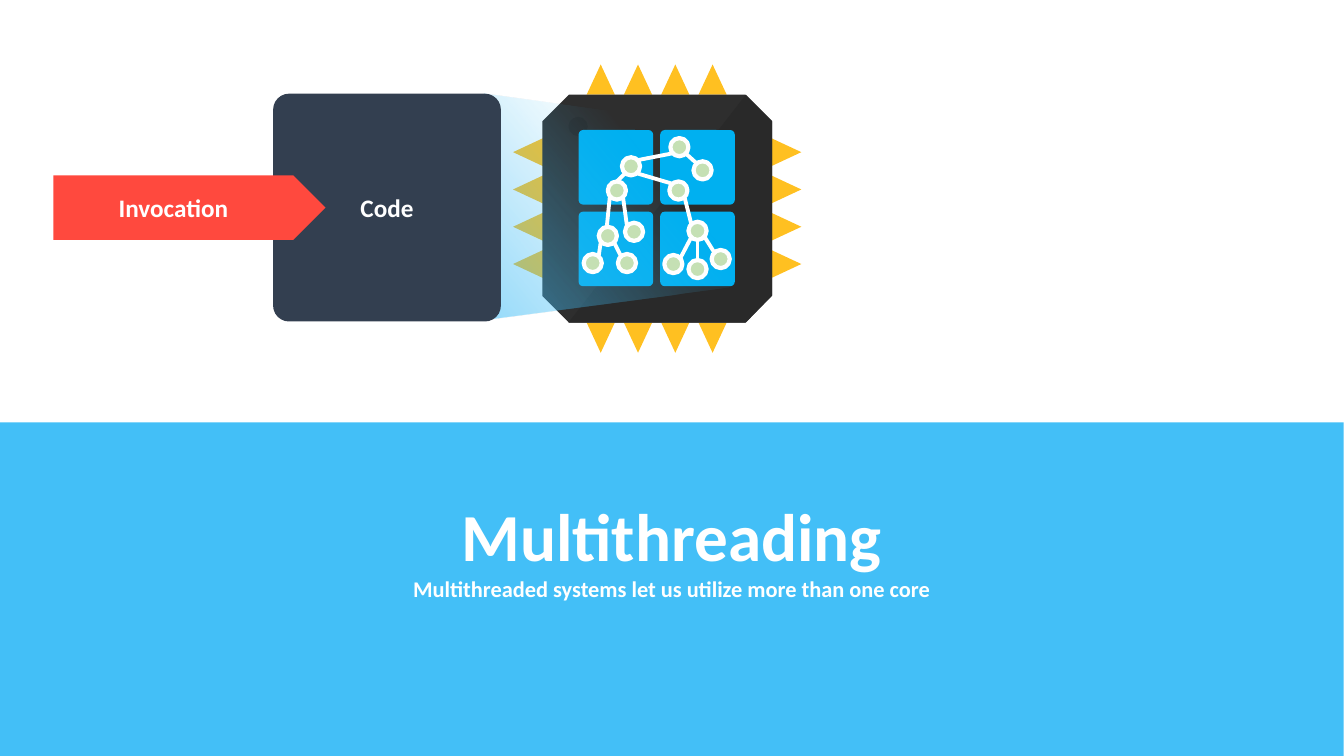
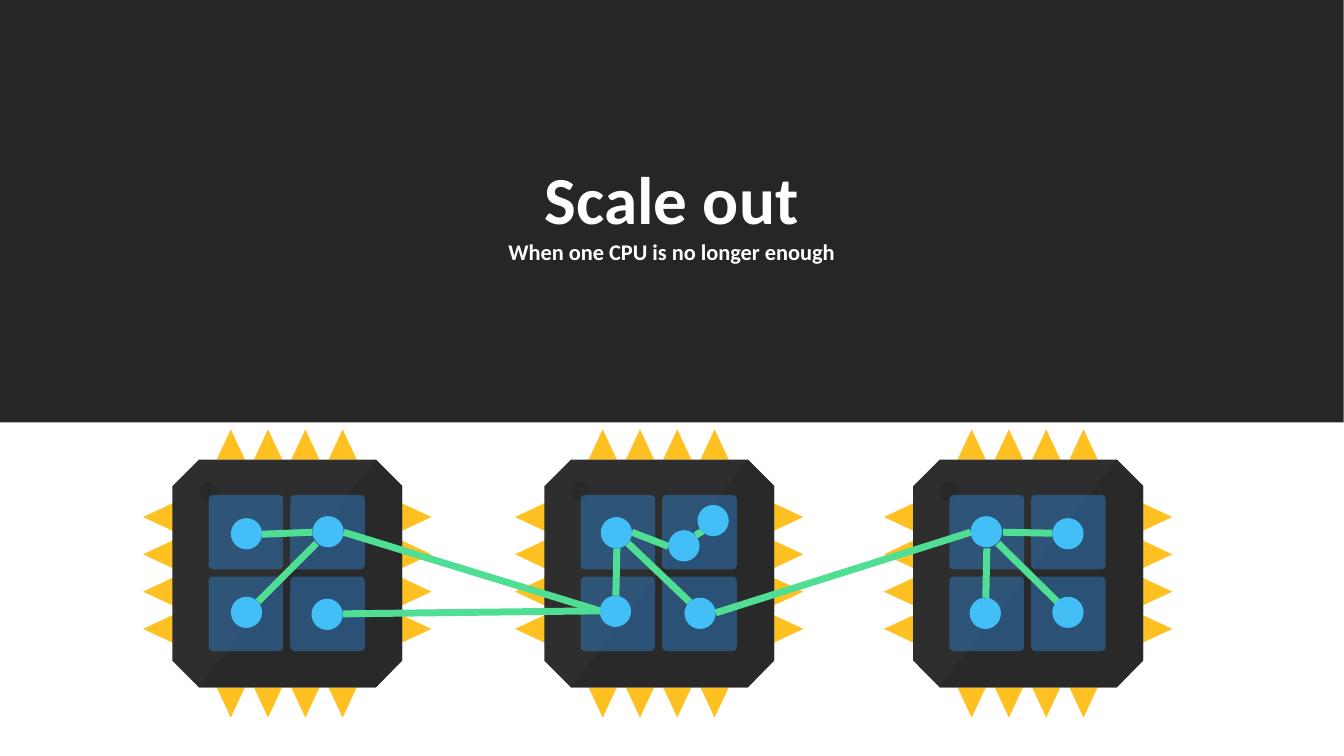
from lxml.etree import SubElement
from pptx import Presentation
from pptx.dml.color import RGBColor
from pptx.enum.shapes import MSO_CONNECTOR, MSO_SHAPE
from pptx.enum.text import MSO_ANCHOR, PP_ALIGN
from pptx.oxml.ns import qn
from pptx.util import Emu, Pt

PX = 9144
WIDE, HIGH, SPLIT = 1333, 750, 419
SPAN, PIN, STEP = 286, 30, 37
CORE, PITCH = 74, 81

HUES = {
    "white": "FFFFFF",
    "sky": "43BFF7",
    "coal": "262626",
    "gold": "FFC021",
    "body": "2E2E2E",
    "shade": "292929",
    "core": "00B0F0",
    "steel": "2E75B6",
    "navy": "333F50",
    "red": "FF493E",
    "leaf": "C5E0B4",
    "green": "50DE94",
}
FONT = {"name": "Calibri", "bold": True}
FRAME = {"vertical_anchor": MSO_ANCHOR.MIDDLE, "word_wrap": True}

TREE_LINKS = [
    (620, 172, 612, 180), (605, 195, 602, 225), (596, 240, 594, 254),
    (618, 195, 622, 224), (609, 240, 616, 254), (679, 195, 686, 223),
    (686, 235, 675, 256), (692, 238, 692, 258), (632, 172, 666, 182),
    (699, 235, 709, 251), (668, 152, 632, 159), (680, 152, 691, 162),
]
TREE_NODES = [
    (613, 252), (620, 221), (594, 225), (603, 180), (664, 180),
    (683, 220), (659, 253), (683, 258), (706, 248), (617, 156),
    (688, 160), (665, 137), (579, 252),
]
MESH_LINKS = [
    (963, 528, 710, 608), (595, 606, 341, 528), (595, 606, 340, 609),
    (612, 544, 611, 591), (310, 528, 260, 530), (314, 539, 256, 597),
    (979, 544, 978, 593), (990, 539, 1049, 597), (623, 539, 684, 597),
    (995, 528, 1044, 529), (663, 542, 627, 528), (690, 531, 697, 527),
]
MESH_NODES = [
    (229, 592), (309, 594), (310, 512), (595, 591), (679, 593),
    (963, 512), (962, 593), (1044, 592), (1044, 514), (596, 513),
    (692, 501), (663, 526), (229, 514),
]


def hue(name):
    return RGBColor.from_string(HUES[name])


def px(*sizes):
    return [Emu(size * PX) for size in sizes]


def apply(thing, values):
    for key, value in values.items():
        setattr(thing, key, value)


def fade(shape, *alphas):
    for tint, alpha in zip(shape.element.iter(qn("a:srgbClr")), alphas):
        SubElement(tint, qn("a:alpha")).set("val", str(alpha * 1000))


def paint(shape, fill):
    shape.shadow.inherit = False
    shape.fill.solid()
    shape.fill.fore_color.rgb = hue(fill)
    shape.line.fill.background()
    return shape


def box(shapes, kind, place, fill, *bends):
    shape = shapes.add_shape(kind, *px(*place))
    for spot, bend in enumerate(bends):
        shape.adjustments[spot] = bend
    return paint(shape, fill)


def outline(shapes, loops, fill):
    pen = shapes.build_freeform(*loops[0][0], scale=PX)
    for turn, loop in enumerate(loops):
        if turn:
            pen.move_to(*loop[0])
        pen.add_line_segments(loop[1:], close=True)
    return paint(pen.convert_to_shape(), fill)


def write(shape, *lines):
    frame = shape.text_frame
    apply(frame, FRAME)
    for spot, (text, size) in enumerate(lines):
        para = frame.add_paragraph() if spot else frame.paragraphs[0]
        para.alignment = PP_ALIGN.CENTER
        run = para.add_run()
        run.text = text
        apply(run.font, FONT | {"size": Pt(size)})
        run.font.color.rgb = hue("white")


def band(shapes, top, tall, fill, title, note, lift=0):
    shape = box(shapes, MSO_SHAPE.RECTANGLE, (0, top, WIDE, tall), fill)
    shape.text_frame.margin_bottom = Emu((5 + lift) * PX)
    write(shape, (title, 48), (note, 16))


def link(shapes, ends, color, width):
    line = shapes.add_connector(MSO_CONNECTOR.STRAIGHT, *px(*ends))
    line.line.color.rgb = hue(color)
    line.line.width = Pt(width)
    SubElement(line.element.spPr, qn("a:effectLst"))


def graph(shapes, links, nodes, size, fill, color, width, rim=0):
    group = shapes.add_group_shape().shapes
    for ends in links:
        link(group, ends, color, width)
    for left, top in nodes:
        node = box(group, MSO_SHAPE.OVAL, (left, top, size, size), fill)
        if rim:
            node.line.color.rgb = hue(color)
            node.line.width = Pt(rim)


def spikes(left, top):
    loops = []
    for start in range(73, 73 + 4 * STEP, STEP):
        tooth = [(start, PIN), (start + 14, 0), (start + 28, PIN)]
        far = [(a, SPAN - b) for a, b in tooth]
        for side in (tooth, far):
            loops.append([(left + a, top + b) for a, b in side])
            loops.append([(left + b, top + a) for a, b in side])
    return loops


def chip(shapes, left, top, fill, alpha=100):
    group = shapes.add_group_shape().shapes
    outline(group, spikes(left, top), "gold")
    box(group, MSO_SHAPE.OCTAGON, (left + 29, top + PIN, 228, 226), "body", 0.117)
    shade = [(55, 256), (231, 30), (257, 56), (257, 229), (231, 256)]
    outline(group, [[(left + a, top + b) for a, b in shade]], "shade")
    box(group, MSO_SHAPE.OVAL, (left + 55, top + 52, 19, 19), "shade")
    for row in range(2):
        for col in range(2):
            place = (left + 65 + col * PITCH, top + 65 + row * PITCH, CORE, CORE)
            core = box(group, MSO_SHAPE.ROUNDED_RECTANGLE, place, fill, 0.062)
            if alpha < 100:
                fade(core, alpha)


def beam(shapes):
    edge = [(481, 93), (723, 127), (727, 130), (729, 137),
            (729, 275), (727, 282), (723, 285), (483, 317)]
    shape = outline(shapes, [edge], "sky")
    shape.fill.gradient()
    shape.fill.gradient_angle = 40
    for stop, place in zip(shape.fill.gradient_stops, (0, 0.68)):
        stop.color.rgb = hue("sky")
        stop.position = place
    fade(shape, 56, 0)


def threads(shapes):
    chip(shapes, 509, 64, "core")
    beam(shapes)
    code = box(shapes, MSO_SHAPE.ROUNDED_RECTANGLE, (271, 93, 226, 226), "navy", 0.07)
    write(code, ("Code", 18))
    call = box(shapes, MSO_SHAPE.RIGHT_ARROW, (53, 174, 270, 64), "red", 1, 0.5)
    write(call, ("Invocation", 18))
    graph(shapes, TREE_LINKS, TREE_NODES, 18, "leaf", "white", 2.75, rim=3)
    band(shapes, SPLIT, HIGH - SPLIT, "sky", "Multithreading",
         "Multithreaded systems let us utilize more than one core", lift=81)


def scale(shapes):
    for left in (877, 511, 142):
        chip(shapes, left, 426, "steel", 55)
    graph(shapes, MESH_LINKS, MESH_NODES, 31, "sky", "green", 5)
    band(shapes, 0, SPLIT, "coal", "Scale out", "When one CPU is no longer enough")


def main():
    deck = Presentation()
    deck.slide_width, deck.slide_height = Emu(12192000), Emu(HIGH * PX)
    for build in (threads, scale):
        build(deck.slides.add_slide(deck.slide_layouts[6]).shapes)
    deck.save("out.pptx")


if __name__ == "__main__":
    main()
